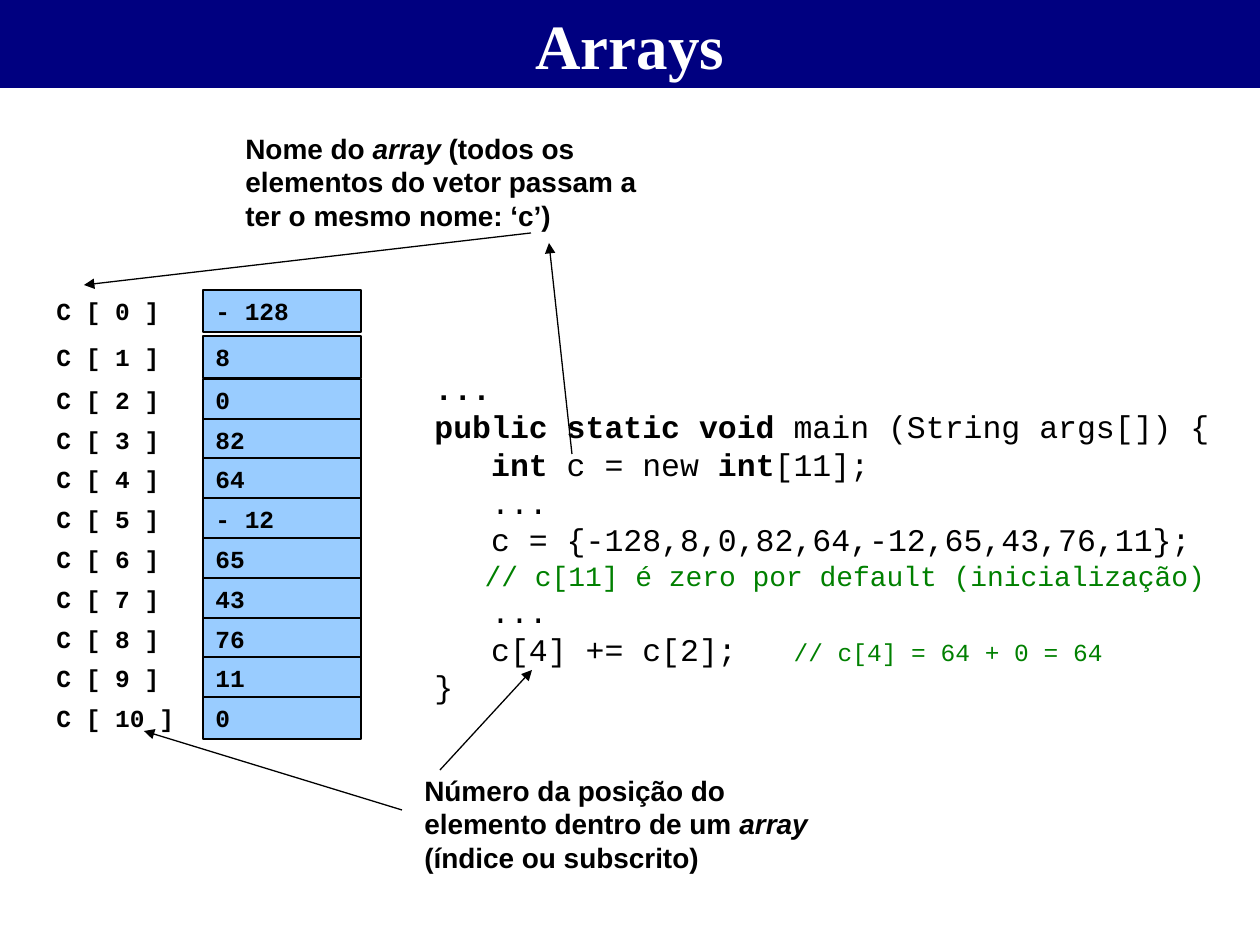
"""Build a slide that explains array names, positions and values in Java."""
import dataclasses

import pptx
import pptx.dml.color
import pptx.enum.shapes
import pptx.enum.text
import pptx.oxml
import pptx.oxml.ns
import pptx.util

PX = pptx.util.Inches(1) / 126


@dataclasses.dataclass(frozen=True)
class Theme:
    """Colours, fonts and type sizes."""
    navy: str = "000080"
    cell: str = "99CCFF"
    black: str = "000000"
    white: str = "FFFFFF"
    green: str = "008000"
    serif: str = "Times New Roman"
    sans: str = "Arial"
    mono: str = "Courier New"
    title: int = 36
    code: int = 18
    note: int = 16
    small: int = 14
    line: float = 0.75
    leading: float = 1.2


T = Theme()


@dataclasses.dataclass(frozen=True)
class Run:
    """A stretch of text in one style."""
    text: str
    size: int = T.code
    font: str = T.mono
    color: str = T.black
    bold: bool = False
    italic: bool = False


def px(n):
    """Turn pixels into EMU."""
    return pptx.util.Emu(round(n * PX))


def rgb(color):
    """Turn a hex string into a colour."""
    return pptx.dml.color.RGBColor.from_string(color)


def fill_text(sp, paragraphs, align=pptx.enum.text.PP_ALIGN.LEFT):
    """Write paragraphs, each a list of runs, into a shape."""
    tf = sp.text_frame
    tf.word_wrap = True
    tf.auto_size = pptx.enum.text.MSO_AUTO_SIZE.NONE
    tf.vertical_anchor = pptx.enum.text.MSO_ANCHOR.TOP
    for i, runs in enumerate(paragraphs):
        p = tf.add_paragraph() if i else tf.paragraphs[0]
        p.alignment = align
        p.space_before = pptx.util.Pt(0)
        p.line_spacing = pptx.util.Pt(T.leading * max(run.size for run in runs))
        for run in runs:
            r = p.add_run()
            r.text = run.text
            r.font.size = pptx.util.Pt(run.size)
            r.font.name = run.font
            r.font.bold = run.bold
            r.font.italic = run.italic
            r.font.color.rgb = rgb(run.color)


def add_title(s, text):
    """Turn the title placeholder into a band across the top."""
    sp = s.shapes.title
    sp.left, sp.top, sp.width, sp.height = px(0), px(0), px(1260), px(88)
    sp.fill.solid()
    sp.fill.fore_color.rgb = rgb(T.navy)
    run = Run(text, T.title, T.serif, T.white, bold=True)
    fill_text(sp, [[run]], pptx.enum.text.PP_ALIGN.CENTER)


def add_text(shapes, x, y, w, h, paragraphs):
    """Add a text box."""
    fill_text(shapes.add_textbox(px(x), px(y), px(w), px(h)), paragraphs)


def add_element(s, index, value, y):
    """Add one array element: its label and its value cell, grouped."""
    shapes = s.shapes.add_group_shape().shapes
    label = Run(f"C [ {index} ]", T.small, bold=True)
    add_text(shapes, 44, y, 168, 42, [[label]])
    sp = shapes.add_shape(pptx.enum.shapes.MSO_SHAPE.RECTANGLE,
                          px(203), px(y), px(158), px(42))
    sp.shadow.inherit = False
    sp.fill.solid()
    sp.fill.fore_color.rgb = rgb(T.cell)
    sp.line.color.rgb = rgb(T.black)
    sp.line.width = pptx.util.Pt(T.line)
    fill_text(sp, [[Run(value, T.small, bold=True)]])


def add_note(s, x, y, before, term, after):
    """Add an explanation with one term in italics."""
    runs = [Run(text, T.note, T.sans, bold=True, italic=text == term)
            for text in (before, term, after)]
    add_text(s.shapes, x, y, 417, 113, [runs])


def add_arrow(s, x1, y1, x2, y2):
    """Add a thin line with an arrowhead at its end."""
    c = s.shapes.add_connector(pptx.enum.shapes.MSO_CONNECTOR.STRAIGHT,
                               px(x1), px(y1), px(x2), px(y2))
    c.line.color.rgb = rgb(T.black)
    c.line.width = pptx.util.Pt(T.line)
    tail = pptx.oxml.parse_xml(
        f'<a:tailEnd {pptx.oxml.ns.nsdecls("a")} type="triangle"/>')
    c.line._get_or_add_ln().append(tail)
    effects = pptx.oxml.parse_xml(
        f'<a:effectLst {pptx.oxml.ns.nsdecls("a")}/>')
    c._element.spPr.append(effects)


def main():
    """Build and save the slide."""
    prs = pptx.Presentation()
    prs.slide_width, prs.slide_height = px(1260), px(945)
    s = prs.slides.add_slide(prs.slide_layouts[5])
    add_title(s, "Arrays")

    values = ["- 128", "8", "0", "82", "64", "- 12", "65", "43", "76", "11", "0"]
    tops = [290, 336] + [round(379 + 39.75 * i) for i in range(len(values) - 2)]
    for i, (value, y) in enumerate(zip(values, tops)):
        add_element(s, i, value, y)

    add_note(s, 233, 125, "Nome do ", "array",
             " (todos os elementos do vetor passam a ter o mesmo nome: ‘c’)")
    add_note(s, 412, 767, "Número da posição do elemento dentro de um ",
             "array", " (índice ou subscrito)")

    add_text(s.shapes, 422, 363, 838, 387, [
        [Run("...", bold=True)],
        [Run("public static void", bold=True), Run(" main (String args[]) {")],
        [Run("   int", bold=True), Run(" c = new "),
         Run("int", bold=True), Run("[11];")],
        [Run("   ...")],
        [Run("   c = {-128,8,0,82,64,-12,65,43,76,11};")],
        [Run("   // c[11] é zero por default (inicialização)",
             T.note, color=T.green)],
        [Run("   ...")],
        [Run("   c[4] += c[2];   "),
         Run("// c[4] = 64 + 0 = 64", T.small, color=T.green)],
        [Run("}")],
    ])

    for ends in [(572, 454, 549, 243), (531, 233, 84, 285),
                 (440, 770, 532, 670), (402, 810, 144, 731)]:
        add_arrow(s, *ends)
    prs.save("out.pptx")


if __name__ == "__main__":
    main()
